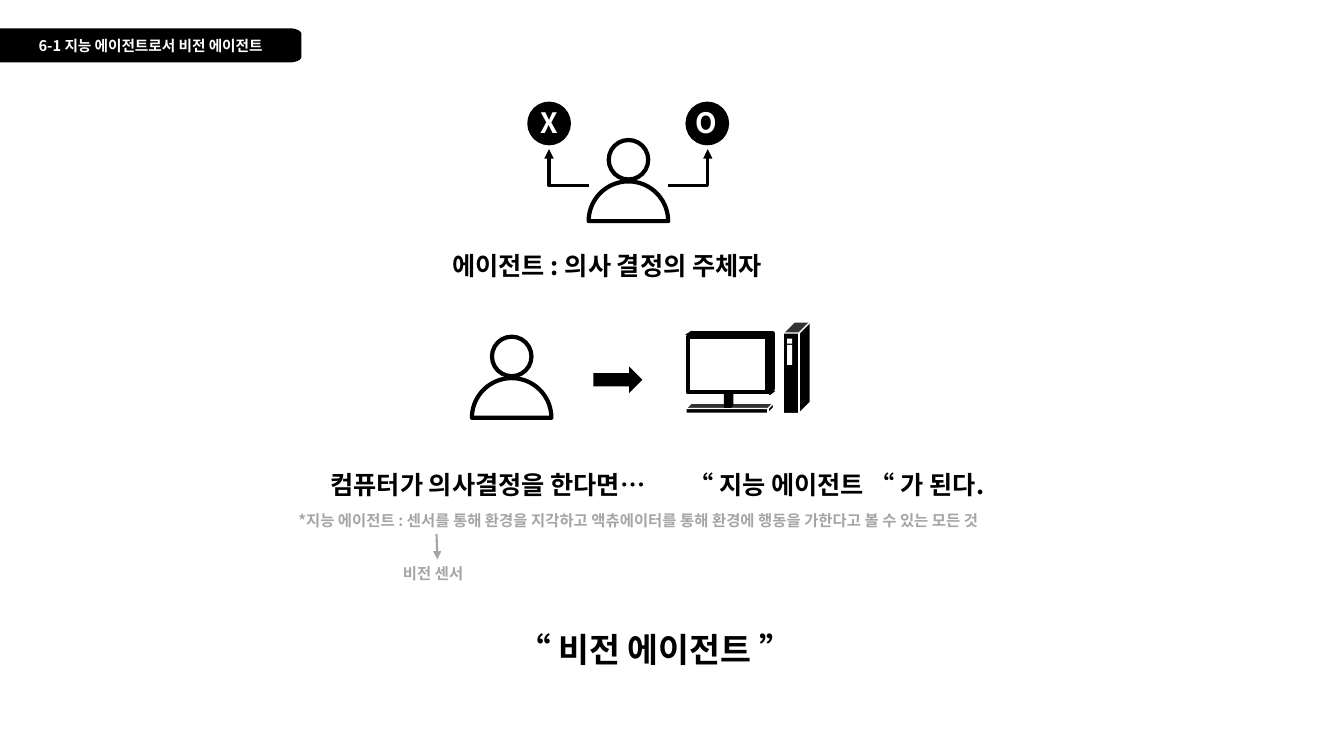
import math

import pptx
import pptx.enum.dml
import pptx.enum.shapes
import pptx.enum.text
import pptx.oxml.ns
import pptx.util
from lxml import etree
from pptx.dml.color import RGBColor

Pt = pptx.util.Pt
SHAPES = pptx.enum.shapes.MSO_SHAPE
CONNECTORS = pptx.enum.shapes.MSO_CONNECTOR
ANCHORS = pptx.enum.text.MSO_ANCHOR
ALIGNMENTS = pptx.enum.text.PP_ALIGN
qn = pptx.oxml.ns.qn

COLORS = {"black": "000000", "white": "FFFFFF", "gray": "A5A5A5"}
FONT = "Noto Sans CJK KR"


def paint(shape, fill, line=None, width=0):
    shape.shadow.inherit = False
    shape.fill.solid()
    shape.fill.fore_color.rgb = RGBColor.from_string(COLORS[fill])
    if line:
        shape.line.color.rgb = RGBColor.from_string(COLORS[line])
        shape.line.width = Pt(width)
    else:
        shape.line.fill.background()


def write(shape, text, size, color):
    """Put one bold line of text in a shape, with the font set for Hangul too."""
    paragraph = shape.text_frame.paragraphs[0]
    run = paragraph.add_run()
    run.text = text
    font_format = {"name": FONT, "size": Pt(size), "bold": True}
    for attribute, value in font_format.items():
        setattr(run.font, attribute, value)
    run.font.color.rgb = RGBColor.from_string(COLORS[color])
    etree.SubElement(run.font._element, qn("a:ea"), typeface=FONT)
    return paragraph


presentation = pptx.Presentation()
presentation.slide_width = Pt(960)
presentation.slide_height = Pt(540)
slide = presentation.slides.add_slide(presentation.slide_layouts[6])
shapes = slide.shapes

# Header tab and the shoulders of both people: straight edges joined by arcs
# arc: center x, center y, radius x, radius y, first and last angle
person_centers = [(448.9, 100), (365.5, 240.5)]
header_arcs = [(206.6, 24.3, 8.7, 4.1, 270, 360), (206.6, 40.5, 8.7, 4.1, 0, 90)]
outlines = [([(0, 44.6), (0, 20.2)], header_arcs, "black", None)]
for center, head_top in person_centers:
    outlines.append(([], [(center, head_top + 58, 28.4, 28.4, 180, 360)], "white", "black"))

outline_shapes = []
for corners, arcs, fill, line in outlines:
    points = list(corners)
    for center_x, center_y, radius_x, radius_y, first, last in arcs:
        for angle in range(first, last + 1, 5):
            radians = math.radians(angle)
            points.append((center_x + radius_x * math.cos(radians),
                           center_y + radius_y * math.sin(radians)))
    points = [(Pt(x), Pt(y)) for x, y in points]
    builder = shapes.build_freeform(*points[0])
    builder.add_line_segments(points[1:])
    outline = builder.convert_to_shape()
    paint(outline, fill, line, 3)
    outline_shapes.append(outline)

header = outline_shapes[0]
header.text_frame.vertical_anchor = ANCHORS.MIDDLE
write(header, "6-1 지능 에이전트로서 비전 에이전트", 10.5, "white").alignment = ALIGNMENTS.CENTER

# Heads and choice circles
circles = [(center, head_top, "white") for center, head_top in person_centers]
circles += [(392.2, 74.1, "black"), (505.2, 74.1, "black")]
for center, top, fill in circles:
    circle = shapes.add_shape(SHAPES.OVAL, Pt(center - 14.1), Pt(top), Pt(28.2), Pt(28.2))
    paint(circle, fill, "black", 3)

arrow = shapes.add_shape(SHAPES.RIGHT_ARROW, Pt(423.9), Pt(261.8), Pt(35), Pt(19))
paint(arrow, "black")

# Computer
computer = shapes.add_group_shape()
monitor_side = [(489.6, 239), (493.9, 236.2), (553.7, 279.4), (550, 282.2)]
monitor_side = [(Pt(x), Pt(y)) for x, y in monitor_side]
computer_parts = [
    (SHAPES.CUBE, 489.9, 288, 62.6, 7.2, "black", "white", 1, 0.532),
    (SHAPES.CUBE, 517.6, 279.4, 5.8, 11.5, "black", "black", 1, 0.25),
    (SHAPES.RECTANGLE, 495.2, 237.9, 56.7, 39.6, "black", "black", 3, None),
    (SHAPES.RECTANGLE, 491.2, 240.7, 56.7, 39.6, "white", "black", 3, None),
    (SHAPES.CUBE, 559.4, 229.9, 19.4, 65.5, "black", "white", 1, 0.411),
    (SHAPES.RECTANGLE, 562.3, 241.9, 3.6, 3.6, "white", None, 0, None),
    (SHAPES.RECTANGLE, 562.3, 246.4, 3.6, 14.2, "white", None, 0, None),
]
builder = computer.shapes.build_freeform(*monitor_side[0])
builder.add_line_segments(monitor_side[1:])
paint(builder.convert_to_shape(), "black")
for kind, left, top, width, height, fill, line, line_width, depth in computer_parts:
    part = computer.shapes.add_shape(kind, Pt(left), Pt(top), Pt(width), Pt(height))
    paint(part, fill, line, line_width)
    if depth:
        part.adjustments[0] = depth

# Arrows to both choices and to the vision sensor
arrows = [
    (CONNECTORS.ELBOW, 420.6, 132.5, 392.2, 106.6, "black", 2.25),
    (CONNECTORS.ELBOW, 477.2, 132.5, 505.6, 106.6, "black", 2.25),
    (CONNECTORS.STRAIGHT, 311.8, 381.6, 312.5, 399.6, "gray", 1.5),
]
for kind, start_x, start_y, end_x, end_y, color, width in arrows:
    connector = shapes.add_connector(kind, Pt(start_x), Pt(start_y), Pt(end_x), Pt(end_y))
    connector.line.color.rgb = RGBColor.from_string(COLORS[color])
    connector.line.width = Pt(width)
    properties = connector._element.spPr
    etree.SubElement(properties.find(qn("a:ln")), qn("a:tailEnd"), type="triangle")
    etree.SubElement(properties, qn("a:effectLst"))
    if kind == CONNECTORS.ELBOW:
        properties.find(qn("a:prstGeom")).set("prst", "bentConnector2")

labels = [
    ("X", 378.7, 72, 28, 31.5, 20, "white"),
    ("O", 489.6, 72, 28, 31.5, 20, "white"),
    ("에이전트 : 의사 결정의 주체자", 316.1, 175, 345, 29, 18, "black"),
    ("컴퓨터가 의사결정을 한다면…", 229, 332, 307.5, 29, 18, "black"),
    ("“ 지능 에이전트 “ 가 된다.", 484.6, 332, 345, 29, 18, "black"),
    ("*지능 에이전트 : 센서를 통해 환경을 지각하고 액츄에이터를 통해 환경에 행동을 가한다고 볼 수 있는 모든 것",
     206, 361.4, 596, 20.6, 11, "gray"),
    ("비전 센서", 280.8, 399.6, 64, 20.6, 11, "gray"),
    ("“ 비전 에이전트 ”", 362.2, 445.7, 381, 36, 24, "black"),
]
for text, left, top, width, height, size, color in labels:
    label = shapes.add_textbox(Pt(left), Pt(top), Pt(width), Pt(height))
    label.text_frame.word_wrap = True
    label.text_frame.auto_size = pptx.enum.text.MSO_AUTO_SIZE.SHAPE_TO_FIT_TEXT
    write(label, text, size, color)

presentation.save("out.pptx")
